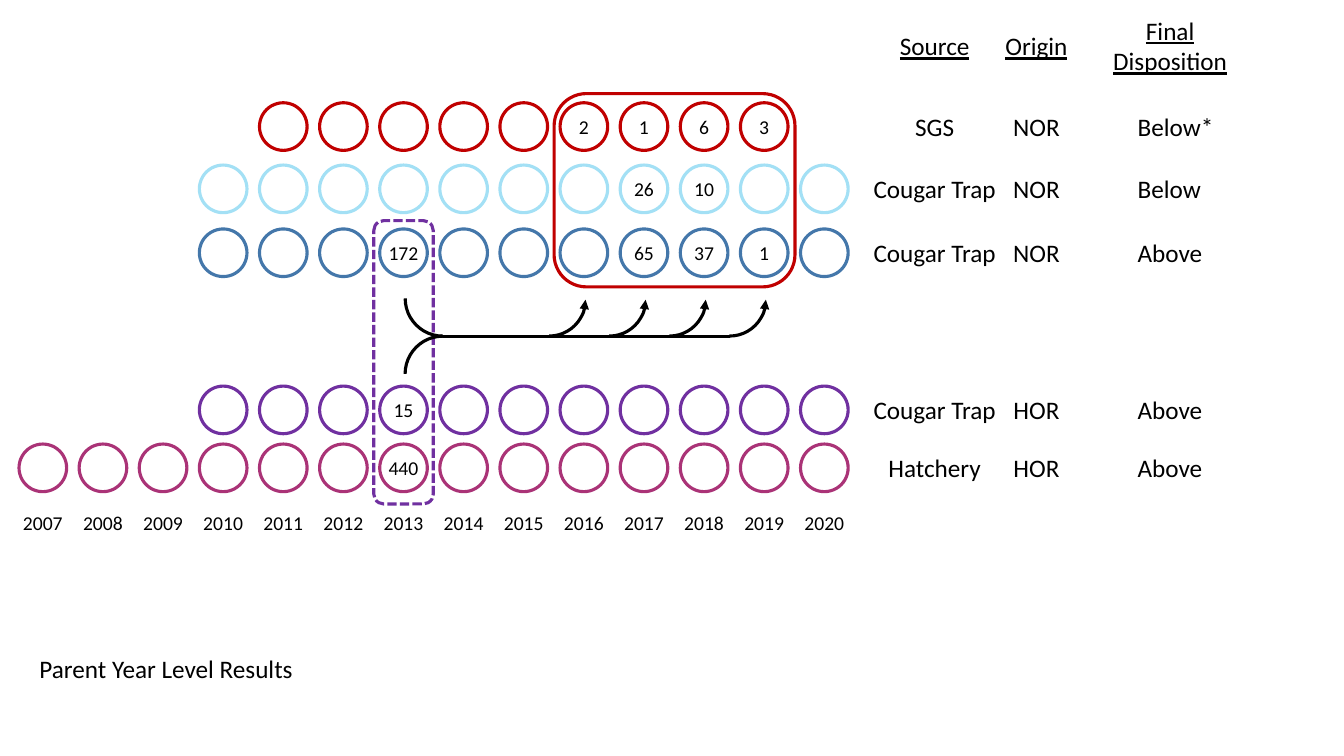
import pptx
import pptx.util
import pptx.dml.color
import pptx.enum.dml
import pptx.enum.shapes
import pptx.enum.text
from pptx.oxml.ns import qn
from lxml import etree

Cm = pptx.util.Cm
SHAPE = pptx.enum.shapes.MSO_SHAPE
ALIGN = pptx.enum.text.PP_ALIGN
FONT = "Calibri"
COLORS = {"red": "C00000", "sky": "A3E0F5", "blue": "4477AA",
          "purple": "7030A0", "plum": "AA3377", "black": "000000",
          "white": "FFFFFF"}
YEARS = range(2007, 2021)
PITCH, DIAMETER = 1.515, 1.2
LABEL_H = 1.02
ROWS = [
    (1.58, "red", 2011, 2019, {2016: "2", 2017: "1", 2018: "6", 2019: "3"},
     ("SGS", "NOR", "Below*")),
    (3.15, "sky", 2010, 2020, {2017: "26", 2018: "10"},
     ("Cougar Trap", "NOR", "Below")),
    (4.76, "blue", 2010, 2020,
     {2013: "172", 2017: "65", 2018: "37", 2019: "1"},
     ("Cougar Trap", "NOR", "Above")),
    (8.72, "purple", 2010, 2020, {2013: "15"},
     ("Cougar Trap", "HOR", "Above")),
    (10.18, "plum", 2007, 2020, {2013: "440"},
     ("Hatchery", "HOR", "Above")),
]


def rgb(name):
    """Return the named colour."""
    return pptx.dml.color.RGBColor.from_string(COLORS[name])


def year_x(year):
    """Return the left offset of a year's column."""
    return (year - YEARS[0]) * PITCH


def write(tf, text, size, align=ALIGN.CENTER, underline=None):
    """Write lines of black text, centred vertically and not wrapped."""
    tf.text = text
    tf.word_wrap = False
    tf.vertical_anchor = pptx.enum.text.MSO_ANCHOR.MIDDLE
    for p in tf.paragraphs:
        p.alignment = align
        p.font.name = FONT
        p.font.size = pptx.util.Pt(size)
        p.font.color.rgb = rgb("black")
        p.font.underline = underline


def add_text(s, x, y, w, h, text, size, align=ALIGN.CENTER, underline=None):
    """Add a text box."""
    tb = s.shapes.add_textbox(Cm(x), Cm(y), Cm(w), Cm(h))
    write(tb.text_frame, text, size, align, underline)


def add_outline(s, kind, x, y, w, h, color, fill=None):
    """Add an outlined shape without shadow."""
    sp = s.shapes.add_shape(kind, Cm(x), Cm(y), Cm(w), Cm(h))
    sp.shadow.inherit = False
    sp.line.color.rgb = rgb(color)
    sp.line.width = pptx.util.Pt(2.25)
    if fill:
        sp.fill.solid()
        sp.fill.fore_color.rgb = rgb(fill)
    else:
        sp.fill.background()
    return sp


def add_circles(s, x, y):
    """Draw the rows of yearly circles with their counts."""
    for top, color, first, last, counts, labels in ROWS:
        fill = None if color == "red" else "white"
        for year in range(first, last + 1):
            sp = add_outline(s, SHAPE.OVAL, x + year_x(year), y + top,
                             DIAMETER, DIAMETER, color, fill)
            if year in counts:
                tf = sp.text_frame
                tf.margin_left = tf.margin_right = 0
                write(tf, counts[year], 14)


def add_years(s, x, y):
    """Write the year under each column."""
    w = 1.54
    for year in YEARS:
        add_text(s, x + year_x(year) + (DIAMETER - w) / 2, y, w, 0.86,
                 str(year), 14)


def add_highlights(s, x, y):
    """Frame the returning years and the parent year."""
    add_outline(s, SHAPE.ROUNDED_RECTANGLE, x + year_x(2016) - 0.15,
                y + 1.35, 6.07, 4.87, "red")
    sp = add_outline(s, SHAPE.ROUNDED_RECTANGLE, x + year_x(2013) - 0.15,
                     y + 4.55, 1.5, 7.14, "purple")
    sp.line.dash_style = pptx.enum.dml.MSO_LINE.SQUARE_DOT


def add_flow(s, x, y):
    """Link the parent year to the returning years along a line at y."""
    center = x + DIAMETER / 2 + 0.04
    merge, branch = 1.9, 1.83
    parent = center + year_x(2013)
    for rotation, top in ((180, y - merge), (270, y)):
        sp = add_outline(s, SHAPE.ARC, parent, top, merge, merge, "black")
        sp.rotation = rotation
    for year in range(2016, 2020):
        right = center + year_x(year)
        sp = add_outline(s, SHAPE.ARC, right - branch, y - branch,
                         branch, branch, "black")
        sp.rotation = 90
        etree.SubElement(sp.line._get_or_add_ln(), qn("a:headEnd"),
                         type="triangle")
    cxn = s.shapes.add_connector(
        pptx.enum.shapes.MSO_CONNECTOR.STRAIGHT, Cm(parent + merge / 2),
        Cm(y), Cm(right - branch / 2), Cm(y))
    cxn.line.color.rgb = rgb("black")
    cxn.line.width = pptx.util.Pt(2.25)
    etree.SubElement(cxn._element.spPr, qn("a:effectLst"))


def add_labels(s, x, y):
    """Write the source, origin and disposition of each row."""
    headers = [("Source", 0, 3.63, 0), ("Origin", 3.34, 2.08, 0),
               ("Final\nDisposition", 6.05, 3.4, 0.39)]
    for text, left, w, grow in headers:
        add_text(s, x + left, y - 0.37 - grow, w, LABEL_H + 2 * grow,
                 text, 18, underline=True)
    columns = [(0, 3.63, ALIGN.CENTER), (3.34, 2.08, ALIGN.CENTER),
               (6.68, 2.45, ALIGN.LEFT)]
    for row in ROWS:
        top = y + row[0] + (DIAMETER - LABEL_H) / 2
        for (left, w, align), text in zip(columns, row[-1]):
            add_text(s, x + left, top, w, LABEL_H, text, 18, align)


def add_title(s, x, y, w, h):
    """Place the title under the diagram."""
    title = s.shapes.title
    title.left, title.top, title.width, title.height = map(Cm, (x, y, w, h))
    write(title.text_frame, "Parent Year Level Results", 18, ALIGN.LEFT)


def main():
    """Build and save the slide."""
    prs = pptx.Presentation()
    prs.slide_width, prs.slide_height = Cm(33.87), Cm(19.05)
    s = prs.slides.add_slide(prs.slide_layouts[5])
    x, y = 0.48, 1.01
    add_circles(s, x, y)
    add_highlights(s, x, y)
    add_flow(s, x, 8.47)
    add_years(s, x, 12.73)
    add_labels(s, 21.74, y)
    add_title(s, 0.74, 16.33, 6.96, LABEL_H)
    prs.save("out.pptx")


if __name__ == "__main__":
    main()
